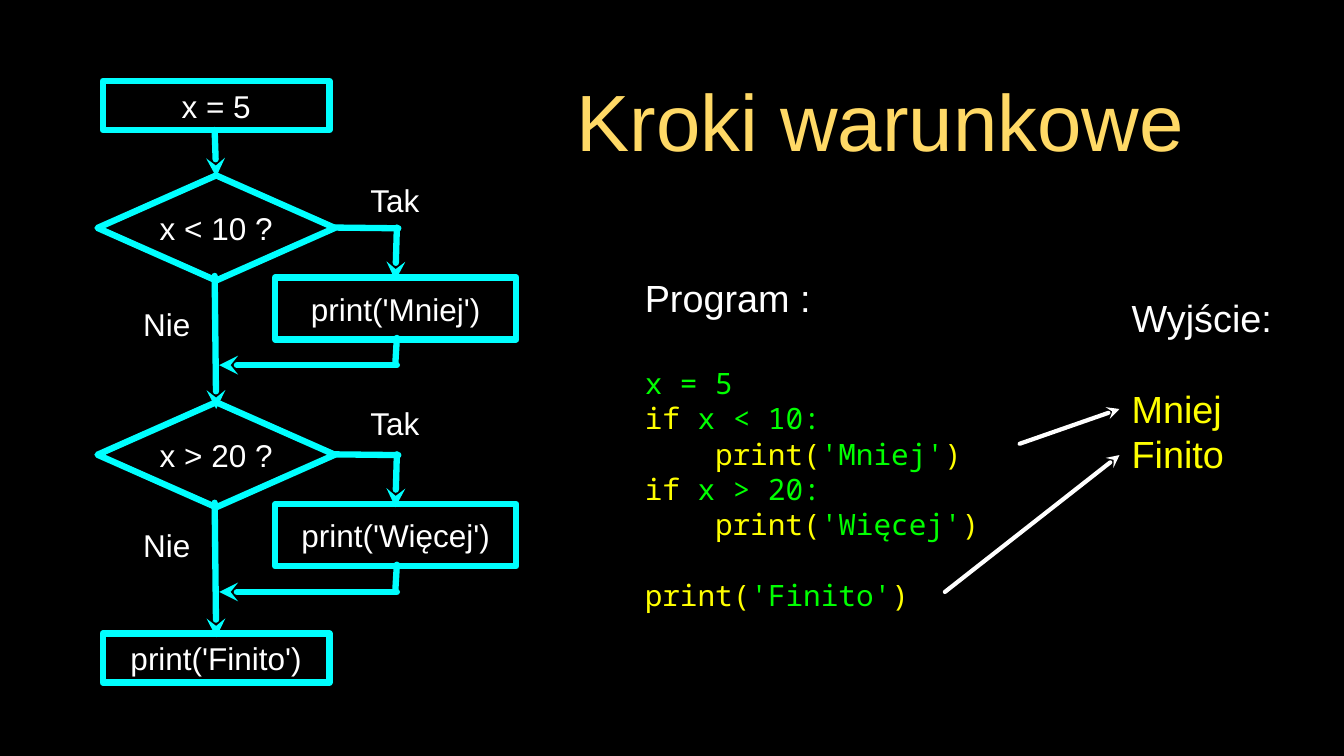
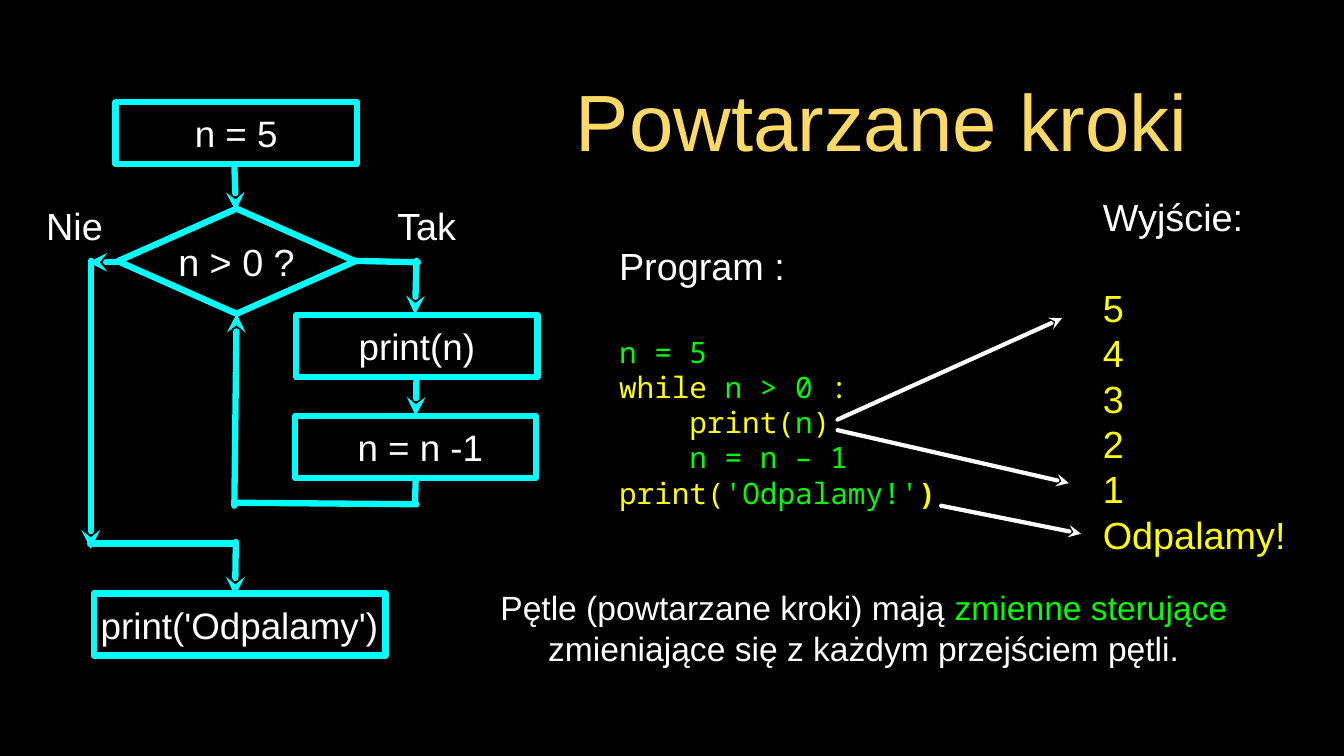
import pptx
import pptx.util
import pptx.dml.color
import pptx.enum.shapes
import pptx.enum.text
import pptx.oxml
import pptx.oxml.ns

Inches = pptx.util.Inches
Shapes = pptx.enum.shapes.MSO_SHAPE
Align = pptx.enum.text.PP_ALIGN

THEME = {
    "background": "000000", "title": "FFD966", "text": "FFFFFF", "flow": "00FFFF",
    "keyword": "FFFF00", "value": "00FF00",
    "font": "Arial", "code_font": "Noto Sans Mono",
    "title_size": 76, "heading_size": 36, "code_size": 28, "note_size": 32,
    "line_height": 1.2, "flow_width": 6, "pointer_width": 4, "code_indent": 0.93,
}


def write_text(frame, rows, align=Align.LEFT, margin=0, wrap=True):
    settings = {
        "word_wrap": wrap, "auto_size": pptx.enum.text.MSO_AUTO_SIZE.NONE,
        "vertical_anchor": pptx.enum.text.MSO_ANCHOR.MIDDLE,
        "margin_left": Inches(margin), "margin_right": Inches(margin),
        "margin_top": Inches(margin), "margin_bottom": Inches(margin),
    }
    for name, value in settings.items():
        setattr(frame, name, value)
    for index, row in enumerate(rows):
        paragraph = frame.paragraphs[0] if index == 0 else frame.add_paragraph()
        size = row["size"]
        spacing = {
            "alignment": align,
            "line_spacing": pptx.util.Pt(size * THEME["line_height"]),
            "space_before": pptx.util.Pt(row.get("gap", 0) * THEME["line_height"]),
        }
        for name, value in spacing.items():
            setattr(paragraph, name, value)
        if row.get("indent"):
            properties = paragraph._p.get_or_add_pPr()
            properties.set("marL", str(Inches(THEME["code_indent"])))
            properties.set("indent", "0")
        for text, colour, *bold in row["runs"]:
            run = paragraph.add_run()
            run.text = text
            formats = {
                "size": pptx.util.Pt(size), "name": row.get("font", THEME["font"]),
                "bold": bool(bold),
            }
            for name, value in formats.items():
                setattr(run.font, name, value)
            run.font.color.rgb = pptx.dml.color.RGBColor.from_string(THEME[colour])


def style_line(shape, colour, width, arrow=False):
    shape.line.color.rgb = pptx.dml.color.RGBColor.from_string(THEME[colour])
    shape.line.width = pptx.util.Pt(THEME[width])
    properties = shape.element.spPr
    outline = properties.find(pptx.oxml.ns.qn("a:ln"))
    outline.set("cap", "rnd")
    tags = ["round", 'tailEnd type="stealth"'] if arrow else ["round"]
    for tag in tags:
        outline.append(pptx.oxml.parse_xml(f"<a:{tag} {pptx.oxml.ns.nsdecls('a')}/>"))


BLOCK_STEP = 3
conditional_blocks = [
    ("x < 10 ?", "print('Mniej')", 5.41, 3.95, 2.31),
    ("x > 20 ?", "print('Więcej')", 8.43, 6.87, 5.25),
]
conditional = {
    "title": ("Kroki warunkowe", 6.4, 10.49),
    "output": (14.97, 3.9, 1.92, 2.39),
    "results": ["Mniej", "Finito"],
    "program": (8.53, 3.14, 4.96, 5.45),
    "code": [
        {"runs": [("x = 5", "value")]},
        {"runs": [("if ", "keyword"), ("x < 10:", "value")]},
        {"runs": [("print(", "keyword"), ("'Mniej'", "value"), (")", "keyword")], "indent": True},
        {"runs": [("if ", "keyword"), ("x > 20:", "value")]},
        {"runs": [("print(", "keyword"), ("'Więcej'", "value"), (")", "keyword")], "indent": True},
        {"runs": [("print(", "keyword"), ("'Finito'", "value"), (")", "keyword")],
         "gap": THEME["code_size"]},
    ],
    "box_size": 30,
    "diamond_size": 30,
    "boxes": [("x = 5", 1.36, 1.07, 3, 0.65), ("print('Finito')", 1.36, 8.38, 3, 0.65)],
    "diamonds": [],
    "labels": [],
    "flow_lines": [],
    "flow_arrows": [(2.84, 1.72, 2.86, 2.34)],
    "pointers": [(13.49, 5.87, 14.81, 5.41), (12.5, 7.83, 14.81, 6.02)],
    "note": [],
}
for index, (question, action, no_end, no_top, yes_top) in enumerate(conditional_blocks):
    drop = index * BLOCK_STEP
    conditional["diamonds"].append((question, 1.29, 2.32 + drop, 3.14, 1.39))
    conditional["boxes"].append((action, 3.64, 3.67 + drop, 3.19, 0.82))
    conditional["labels"] += [("Tak", 4.83, yes_top, 0.79), ("Nie", 1.81, no_top, 0.79)]
    conditional["flow_lines"] += [
        (4.42, 3.01 + drop, 5.27, 3.02 + drop),
        (5.25, 4.47 + drop, 5.23, 4.81 + drop),
    ]
    conditional["flow_arrows"] += [
        (2.84, 3.65 + drop, 2.86, no_end),
        (5.25, 3.01 + drop, 5.23, 3.71 + drop),
        (5.25, 4.83 + drop, 2.9, 4.83 + drop),
    ]

repeated = {
    "title": ("Powtarzane kroki", 6.44, 10.45),
    "output": (14.59, 2.63, 2.44, 4.67),
    "results": ["5", "4", "3", "2", "1", "Odpalamy!"],
    "program": (8.19, 2.86, 4.26, 4.24),
    "code": [
        {"runs": [("n = 5", "value")]},
        {"runs": [("while", "keyword"), (" n > 0", "value"), (" :", "keyword")]},
        {"runs": [("print(", "keyword"), ("n", "value"), (")", "keyword")], "indent": True},
        {"runs": [("n = n – 1", "value")], "indent": True},
        {"runs": [("print(", "keyword"), ("'Odpalamy!'", "value"), (")", "keyword", "bold")]},
    ],
    "box_size": 35,
    "diamond_size": 36,
    "boxes": [
        ("n = 5", 1.53, 1.35, 3.19, 0.82),
        ("print(n)", 3.92, 4.17, 3.19, 0.82),
        (" n = n -1", 3.9, 5.5, 3.19, 0.82),
        ("print('Odpalamy')", 1.24, 7.85, 3.86, 0.82),
    ],
    "diamonds": [("n > 0 ?", 1.56, 2.76, 3.14, 1.39)],
    "labels": [("Nie", 0.59, 2.64, 0.79), ("Tak", 5.1, 2.64, 1.09)],
    "flow_lines": [
        (4.68, 3.45, 5.53, 3.47), (5.5, 6.32, 5.49, 6.65),
        (5.51, 6.67, 3.12, 6.65), (1.19, 7.19, 3.1, 7.19),
    ],
    "flow_arrows": [
        (3.1, 2.17, 3.12, 2.79), (5.51, 3.45, 5.49, 4.16), (5.51, 4.99, 5.5, 5.5),
        (3.1, 6.69, 3.13, 4.15), (1.6, 3.47, 1.17, 3.47), (1.2, 3.45, 1.2, 7.26),
        (3.12, 7.17, 3.11, 7.88),
    ],
    "pointers": [
        (11.08, 5.55, 14.05, 4.21), (11.08, 5.69, 14.14, 6.39), (12.45, 6.69, 14.3, 7.06),
    ],
    "note": [
        ("Pętle (powtarzane kroki) mają ", "text"), ("zmienne sterujące ", "value"),
        ("zmieniające się z każdym przejściem pętli.", "text"),
    ],
}

presentation = pptx.Presentation()
presentation.slide_width = Inches(17.78)
presentation.slide_height = Inches(10)
background = presentation.slide_master.background.fill
background.solid()
background.fore_color.rgb = pptx.dml.color.RGBColor.from_string(THEME["background"])

for content in (conditional, repeated):
    slide = presentation.slides.add_slide(presentation.slide_layouts[5])
    heading_size = THEME["heading_size"]

    text, left, width = content["title"]
    title = slide.shapes.title
    place = {"left": left, "top": 0.84, "width": width, "height": 1.49}
    for name, value in place.items():
        setattr(title, name, Inches(value))
    write_text(title.text_frame, [{"size": THEME["title_size"], "runs": [(text, "title")]}],
               Align.CENTER, margin=0.04)

    result_rows = [{"size": heading_size, "runs": [(result, "keyword")]}
                   for result in content["results"]]
    result_rows[0]["gap"] = heading_size
    code_rows = [{"size": THEME["code_size"], "font": THEME["code_font"], **row}
                 for row in content["code"]]
    code_rows[0]["gap"] = heading_size
    for heading, position, rows in (
        ("Wyjście:", content["output"], result_rows),
        ("Program :", content["program"], code_rows),
    ):
        box = slide.shapes.add_textbox(*map(Inches, position))
        heading_row = {"size": heading_size, "runs": [(heading, "text")]}
        write_text(box.text_frame, [heading_row] + rows)

    for kind, colour, width, arrow in (
        ("flow_lines", "flow", "flow_width", False),
        ("flow_arrows", "flow", "flow_width", True),
        ("pointers", "text", "pointer_width", True),
    ):
        for ends in content[kind]:
            connector = slide.shapes.add_connector(
                pptx.enum.shapes.MSO_CONNECTOR.STRAIGHT, *map(Inches, ends))
            style_line(connector, colour, width, arrow)
            connector.element.spPr.append(
                pptx.oxml.parse_xml(f"<a:effectLst {pptx.oxml.ns.nsdecls('a')}/>"))

    for kind, preset, size in (
        ("boxes", Shapes.RECTANGLE, content["box_size"]),
        ("diamonds", Shapes.DIAMOND, content["diamond_size"]),
    ):
        for text, *position in content[kind]:
            shape = slide.shapes.add_shape(preset, *map(Inches, position))
            shape.shadow.inherit = False
            shape.fill.background()
            style_line(shape, "flow", "flow_width")
            write_text(shape.text_frame, [{"size": size, "runs": [(text, "text")]}],
                       Align.CENTER, wrap=False)

    for text, left, top, width in content["labels"]:
        label = slide.shapes.add_textbox(*map(Inches, (left, top, width, 0.68)))
        write_text(label.text_frame,
                   [{"size": content["diamond_size"], "runs": [(text, "text")]}], Align.CENTER)

    if content["note"]:
        note = slide.shapes.add_textbox(*map(Inches, (5.64, 7.65, 11.58, 1.3)))
        write_text(note.text_frame, [{"size": THEME["note_size"], "runs": content["note"]}],
                   Align.CENTER)

presentation.save("out.pptx")
